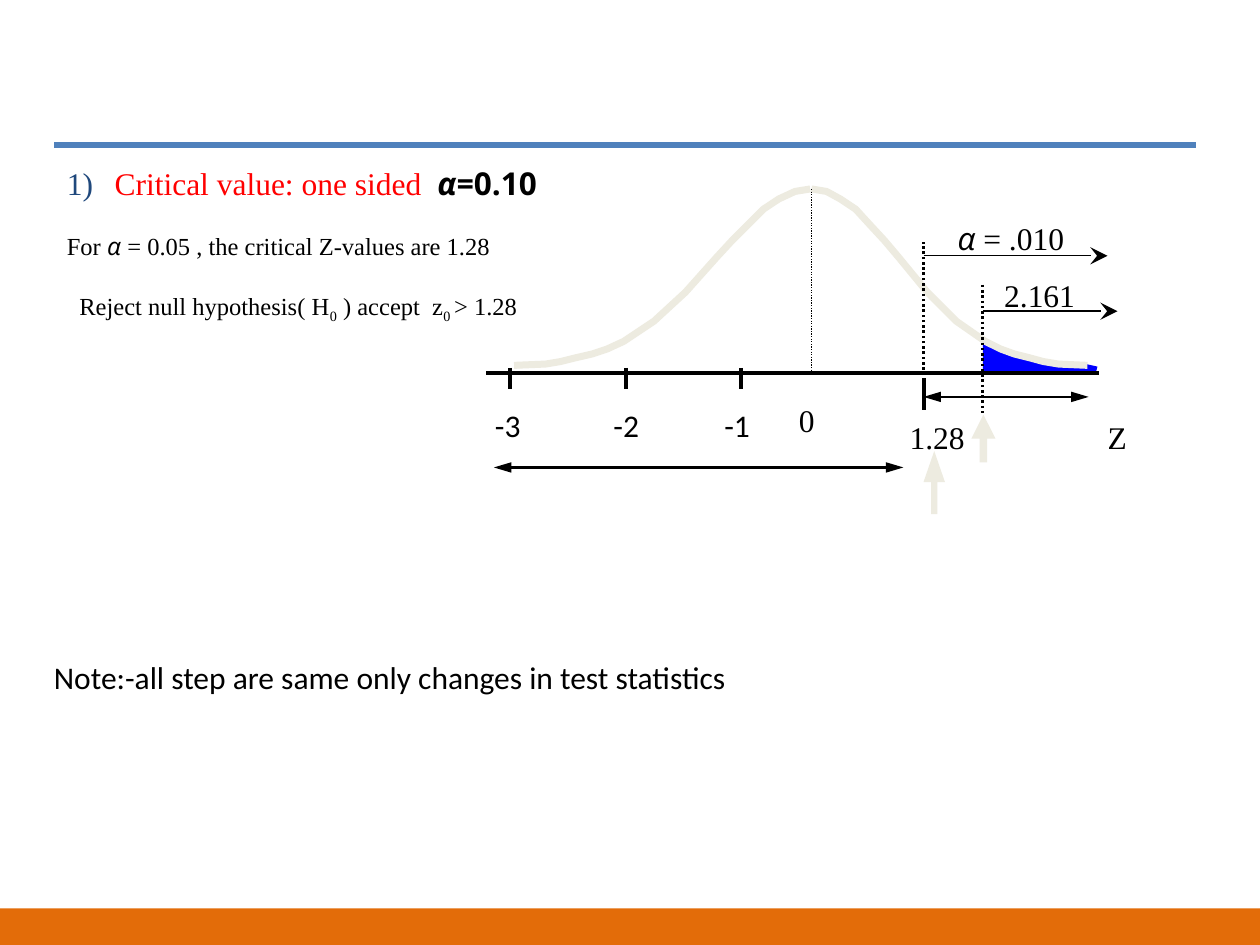
from dataclasses import dataclass

from lxml import etree
from pptx import Presentation
from pptx.dml.color import RGBColor
from pptx.enum.dml import MSO_LINE
from pptx.enum.shapes import MSO_CONNECTOR, MSO_SHAPE
from pptx.enum.text import MSO_ANCHOR, MSO_AUTO_SIZE
from pptx.oxml.ns import qn
from pptx.util import Pt

PX = 9144  # 100 px to the inch
STRAIGHT = MSO_CONNECTOR.STRAIGHT
DOT = MSO_LINE.ROUND_DOT
RECTANGLE, UP_ARROW = MSO_SHAPE.RECTANGLE, MSO_SHAPE.UP_ARROW
BLACK, RED, NAVY, BLUE = "000000", "FF0000", "1F487C", "0000FF"
RULE_BLUE, ORANGE, CREAM = "4F81BC", "E36C09", "EDEBE0"
SERIF, SANS, SYMBOL = "Times New Roman", "Calibri", "Open Sans"

AXIS_Y, MEAN_X = 296, 644
CURVE_STEPS = (0, 2, 3, 4, 5, 6, 7, 9, 11, 13, 14, 15, 16, 17, 18, 19)
CURVE_Y = (290, 289, 287, 284, 281, 277, 271, 255, 232, 204, 191, 178, 166, 158, 152, 150)
TAIL_AREA = ((780, 273), (780, 296), (870, 296), (870, 295), (871, 291),
             (862, 289), (834, 289), (804, 282))


@dataclass
class Line:
    x1: int
    y1: int
    x2: int
    y2: int
    width: float
    color: str = BLACK
    dash: MSO_LINE | None = None
    head: str = ""
    tail: str = ""
    tip_width: str = "med"


@dataclass
class Label:
    text: str
    x: int
    y: int
    w: int
    h: int
    font: str = SERIF
    inset: tuple[int, int] = (1, 1)


@dataclass
class UpArrow:
    x: int
    y: int
    w: int
    h: int
    shaft: float
    tip: float


FRAME_RULE = Line(43, 115, 949, 115, 3, RULE_BLUE)
DIAGRAM_LINES = (
    Line(386, AXIS_Y, 872, AXIS_Y, 2),
    Line(MEAN_X, 150, MEAN_X, AXIS_Y, 0.75, dash=DOT),
    *(Line(x, 292, x, 309, 2.25) for x in (405, 497, 588)),
    Line(733, 300, 733, 325, 2.25),
    Line(780, 226, 780, 328, 1.5, dash=DOT),
    Line(733, 306, 733, 192, 1.5, dash=DOT),
    Line(392, 371, 717, 371, 2, head="triangle", tail="triangle"),
    Line(733, 315, 864, 315, 1.25, head="triangle", tail="triangle"),
    Line(733, 203, 879, 203, 0.75, tail="stealth", tip_width="lg"),
    Line(780, 247, 887, 247, 1, tail="stealth", tip_width="lg"),
)
LABELS = (
    Label("0", 633, 317, 15, 33),
    Label("Z", 878, 331, 18, 33),
    Label("1.28", 721, 331, 47, 33),
    Label("2.161", 796, 218, 59, 32),
    Label("Note:-all step are same only changes in test statistics",
          33, 517, 560, 40, SANS, (10, 5)),
)
UP_ARROWS = (
    UpArrow(771, 329, 19, 38, 0.32, 1),
    UpArrow(733, 358, 17, 50, 0.3, 1.45),
)


def rgb(color: str) -> RGBColor:
    return RGBColor.from_string(color)


def add_run(p, text: str, font=SERIF, size=18, color=BLACK,
            bold=False, italic=False, subscript=False):
    r = p.add_run()
    r.text = text
    f = r.font
    f.name, f.size, f.bold, f.italic = font, Pt(size), bold, italic
    f.color.rgb = rgb(color)
    if subscript:
        f._element.set("baseline", "-25000")


def add_xml(parent, tag: str, **attrs: str):
    return etree.SubElement(parent, qn(tag), attrs)


def set_frame(tf, inset: tuple[int, int]):
    tf.word_wrap = True
    tf.auto_size = MSO_AUTO_SIZE.NONE
    tf.vertical_anchor = MSO_ANCHOR.TOP
    tf.margin_left = tf.margin_right = inset[0] * PX
    tf.margin_top = tf.margin_bottom = inset[1] * PX


def place(s, x: int, y: int, w: int, h: int):
    s.left, s.top, s.width, s.height = (v * PX for v in (x, y, w, h))


def add_box(shapes, x: int, y: int, w: int, h: int, inset=(1, 1)):
    """Add a text box and return its first paragraph."""
    tf = shapes.add_textbox(x * PX, y * PX, w * PX, h * PX).text_frame
    set_frame(tf, inset)
    return tf.paragraphs[0]


def add_line(shapes, spec: Line):
    ends = (v * PX for v in (spec.x1, spec.y1, spec.x2, spec.y2))
    s = shapes.add_connector(STRAIGHT, *ends)
    s.line.width = Pt(spec.width)
    s.line.color.rgb = rgb(spec.color)
    if spec.dash:
        s.line.dash_style = spec.dash
    ln = s.line._get_or_add_ln()
    for tag, kind in (("a:headEnd", spec.head), ("a:tailEnd", spec.tail)):
        if kind:
            add_xml(ln, tag, type=kind, w=spec.tip_width, len="lg")
    add_xml(s._element.spPr, "a:effectLst")


def fill_shape(s, color: str):
    s.shadow.inherit = False
    s.fill.solid()
    s.fill.fore_color.rgb = rgb(color)
    s.line.fill.background()


def add_outline(shapes, points, close: bool):
    builder = shapes.build_freeform(*points[0], scale=PX)
    builder.add_line_segments(points[1:], close=close)
    return builder.convert_to_shape()


def add_half_curve(shapes, outer_x: int, top_x: int):
    step = (top_x - outer_x) / CURVE_STEPS[-1]
    points = [(round(outer_x + n * step), y) for n, y in zip(CURVE_STEPS, CURVE_Y)]
    s = add_outline(shapes, points, close=False)
    s.shadow.inherit = False
    s.fill.background()
    s.line.color.rgb = rgb(CREAM)
    s.line.width = Pt(4)


def add_up_arrow(shapes, spec: UpArrow):
    s = shapes.add_shape(UP_ARROW, *(v * PX for v in (spec.x, spec.y, spec.w, spec.h)))
    s.adjustments[0], s.adjustments[1] = spec.shaft, spec.tip
    fill_shape(s, CREAM)


def add_paragraph(tf, first: bool, left: int):
    p = tf.paragraphs[0] if first else tf.add_paragraph()
    p.line_spacing = 1.0
    p.space_before = Pt(0 if first else 17)
    pPr = p._p.get_or_add_pPr()
    pPr.set("marL", str(left * PX))
    pPr.set("indent", str(-38 * PX))
    if first:
        add_xml(add_xml(pPr, "a:buClr"), "a:srgbClr", val=NAVY)
        add_xml(pPr, "a:buFont", typeface=SERIF)
        add_xml(pPr, "a:buAutoNum", type="arabicParenR")
    else:
        add_xml(pPr, "a:buNone")
    return p


def fill_body(body):
    place(body, 33, 125, 500, 135)
    tf = body.text_frame
    set_frame(tf, (10, 5))
    p = add_paragraph(tf, True, 48)
    add_run(p, "Critical value: one sided  ", color=RED)
    add_run(p, "α=", font=SYMBOL, bold=True, italic=True)
    add_run(p, "0.10", font=SYMBOL, bold=True)
    p = add_paragraph(tf, False, 48)
    add_run(p, "For ", size=14)
    add_run(p, "α ", font=SYMBOL, size=14, italic=True)
    add_run(p, "= 0.05 , the critical Z-values are 1.28", size=14)
    p = add_paragraph(tf, False, 58)
    parts = ("Reject null hypothesis( H", "0", " ) accept  z", "0 ", "> 1.28")
    for i, text in enumerate(parts):
        add_run(p, text, size=14, subscript=i % 2 == 1)


def main():
    prs = Presentation()
    prs.slide_width, prs.slide_height = 1000 * PX, 750 * PX
    slide = prs.slides.add_slide(prs.slide_layouts[1])
    shapes = slide.shapes
    title = shapes.title._element
    title.getparent().remove(title)
    fill_body(slide.placeholders[1])

    add_line(shapes, FRAME_RULE)
    fill_shape(shapes.add_shape(RECTANGLE, 0, 721 * PX, 1000 * PX, 29 * PX), ORANGE)
    fill_shape(add_outline(shapes, TAIL_AREA, close=True), BLUE)
    add_half_curve(shapes, 408, 643)
    add_half_curve(shapes, 863, MEAN_X)
    for line in DIAGRAM_LINES:
        add_line(shapes, line)
    for arrow in UP_ARROWS:
        add_up_arrow(shapes, arrow)
    for label in LABELS:
        p = add_box(shapes, label.x, label.y, label.w, label.h, label.inset)
        add_run(p, label.text, font=label.font)

    p = add_box(shapes, 759, 173, 108, 33)
    add_run(p, "α", font=SYMBOL, italic=True)
    add_run(p, " = .010")
    p = add_box(shapes, 383, 317, 242, 40, (10, 5))
    stops = add_xml(p._p.get_or_add_pPr(), "a:tabLst")
    for x in (94, 182):
        add_xml(stops, "a:tab", pos=str(x * PX), algn="l")
    add_run(p, "-3\t-2\t-1", font=SANS)
    prs.save("out.pptx")


if __name__ == "__main__":
    main()
